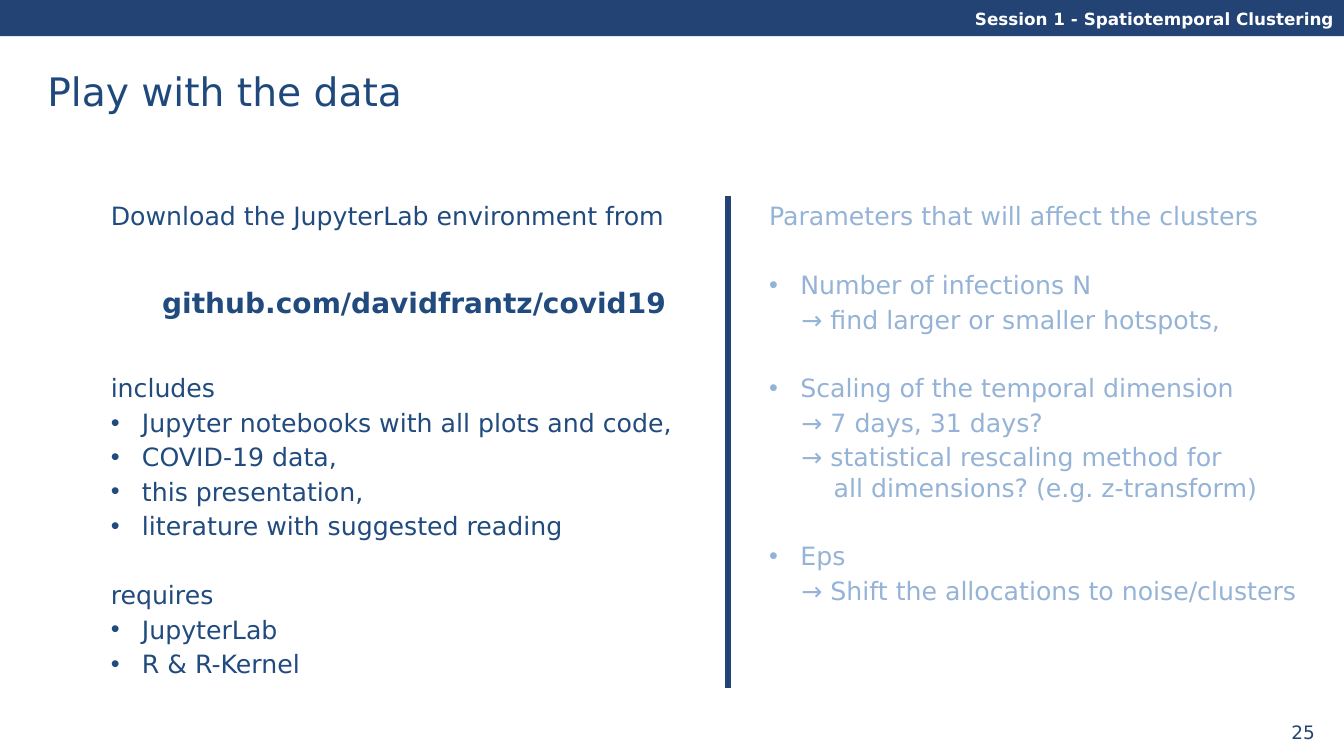
"""Build the "Play with the data" slide."""
from pptx import Presentation
from pptx.dml.color import RGBColor
from pptx.enum import shapes, text
from pptx.oxml.ns import qn
from pptx.util import Inches, Pt
from lxml import etree

FONT = "DejaVu Sans"
BAR = RGBColor(0x22, 0x43, 0x74)
TITLE = RGBColor(0x1F, 0x49, 0x7D)
INK = RGBColor(0x21, 0x4B, 0x7E)
PALE = RGBColor(0x95, 0xB3, 0xD7)
WHITE = RGBColor(0xFF, 0xFF, 0xFF)
LEFT, RIGHT = text.PP_ALIGN.LEFT, text.PP_ALIGN.RIGHT
LINE = 24.6

DOWNLOAD = [
    ("plain", "Download the JupyterLab environment from", 0),
    ("plain", "includes", 4),
    ("bullet", "Jupyter notebooks with all plots and code,", 0),
    ("bullet", "COVID-19 data,", 0),
    ("bullet", "this presentation,", 0),
    ("bullet", "literature with suggested reading", 0),
    ("plain", "requires", 1),
    ("bullet", "JupyterLab", 0),
    ("bullet", "R & R-Kernel", 0),
]
PARAMETERS = [
    ("plain", "Parameters that will affect the clusters", 0),
    ("bullet", "Number of infections N", 1),
    ("arrow", "→ find larger or smaller hotspots,", 0),
    ("bullet", "Scaling of the temporal dimension", 1),
    ("arrow", "→ 7 days, 31 days?", 0),
    ("arrow", "→ statistical rescaling method for\vall dimensions? (e.g. z-transform)", 0),
    ("bullet", "Eps", 1),
    ("arrow", "→ Shift the allocations to noise/clusters", 0),
]
INDENTS = {"bullet": (0.31, -0.31), "arrow": (0.64, -0.32)}


def style_runs(p, size, color, bold=False):
    for r in p.runs:
        r.font.name = FONT
        r.font.size = Pt(size)
        r.font.bold = bold
        r.font.color.rgb = color


def add_box(s, box, veiled=False):
    sp = s.shapes.add_textbox(*map(Inches, box))
    sp.text_frame.word_wrap = True
    if veiled:
        sp.fill.solid()
        sp.fill.fore_color.rgb = WHITE
        color = sp.fill._xPr.find(qn("a:solidFill"))[0]
        etree.SubElement(color, qn("a:alpha")).set("val", "70000")
    return sp.text_frame


def add_label(s, box, words, size, color, bold=False, align=LEFT, veiled=False):
    tf = add_box(s, box, veiled)
    tf.text = words
    p = tf.paragraphs[0]
    p.alignment = align
    style_runs(p, size, color, bold)
    return tf


def add_list(s, box, items, color, veiled=False):
    tf = add_box(s, box, veiled)
    for i, (kind, words, gap) in enumerate(items):
        p = tf.add_paragraph() if i else tf.paragraphs[0]
        p.text = words
        p.space_after = Pt(3)
        if gap:
            p.space_before = Pt(gap * LINE)
        if kind in INDENTS:
            margin, indent = INDENTS[kind]
            pPr = p._p.get_or_add_pPr()
            pPr.set("marL", str(Inches(margin)))
            pPr.set("indent", str(Inches(indent)))
            if kind == "bullet":
                etree.SubElement(pPr, qn("a:buFont")).set("typeface", "Arial")
                etree.SubElement(pPr, qn("a:buChar")).set("char", "•")
        style_runs(p, 18, color)


def add_header(s):
    bar = s.shapes.add_shape(shapes.MSO_SHAPE.RECTANGLE, 0, 0, Inches(13.33), Inches(0.36))
    bar.shadow.inherit = False
    bar.fill.solid()
    bar.fill.fore_color.rgb = BAR
    bar.line.fill.background()
    tf = add_label(s, (3.33, 0.01, 10, 0.33), "Session 1 - Spatiotemporal Clustering",
                   12, WHITE, bold=True, align=RIGHT)
    tf.margin_top = Inches(0.08)


def set_title(s, words):
    sp = s.shapes.title
    sp.left, sp.top, sp.width, sp.height = map(Inches, (0.37, 0.59, 11.5, 0.62))
    tf = sp.text_frame
    tf.text = words
    tf.vertical_anchor = text.MSO_ANCHOR.MIDDLE
    tf.paragraphs[0].alignment = LEFT
    style_runs(tf.paragraphs[0], 28, TITLE)


def add_divider(s, x, top, bottom):
    line = s.shapes.add_connector(shapes.MSO_CONNECTOR.STRAIGHT,
                                  Inches(x), Inches(top), Inches(x), Inches(bottom))
    line.line.color.rgb = BAR
    line.line.width = Pt(4.25)
    etree.SubElement(line._element.spPr, qn("a:effectLst"))


def main():
    prs = Presentation()
    prs.slide_width, prs.slide_height = Inches(13.33), Inches(7.5)
    s = prs.slides.add_slide(prs.slide_layouts[5])
    add_header(s)
    add_label(s, (12.2, 7.1, 0.94, 0.32), "25", 13.2, BAR, align=RIGHT)
    set_title(s, "Play with the data")
    add_list(s, (1, 1.94, 5.98, 4.89), DOWNLOAD, INK, veiled=True)
    add_label(s, (1.51, 2.78, 5.39, 0.44), "github.com/davidfrantz/covid19",
              20, INK, bold=True, veiled=True)
    add_list(s, (7.53, 1.94, 5.59, 4.5), PARAMETERS, PALE)
    add_divider(s, 7.22, 1.94, 6.83)
    prs.save("out.pptx")


if __name__ == "__main__":
    main()
